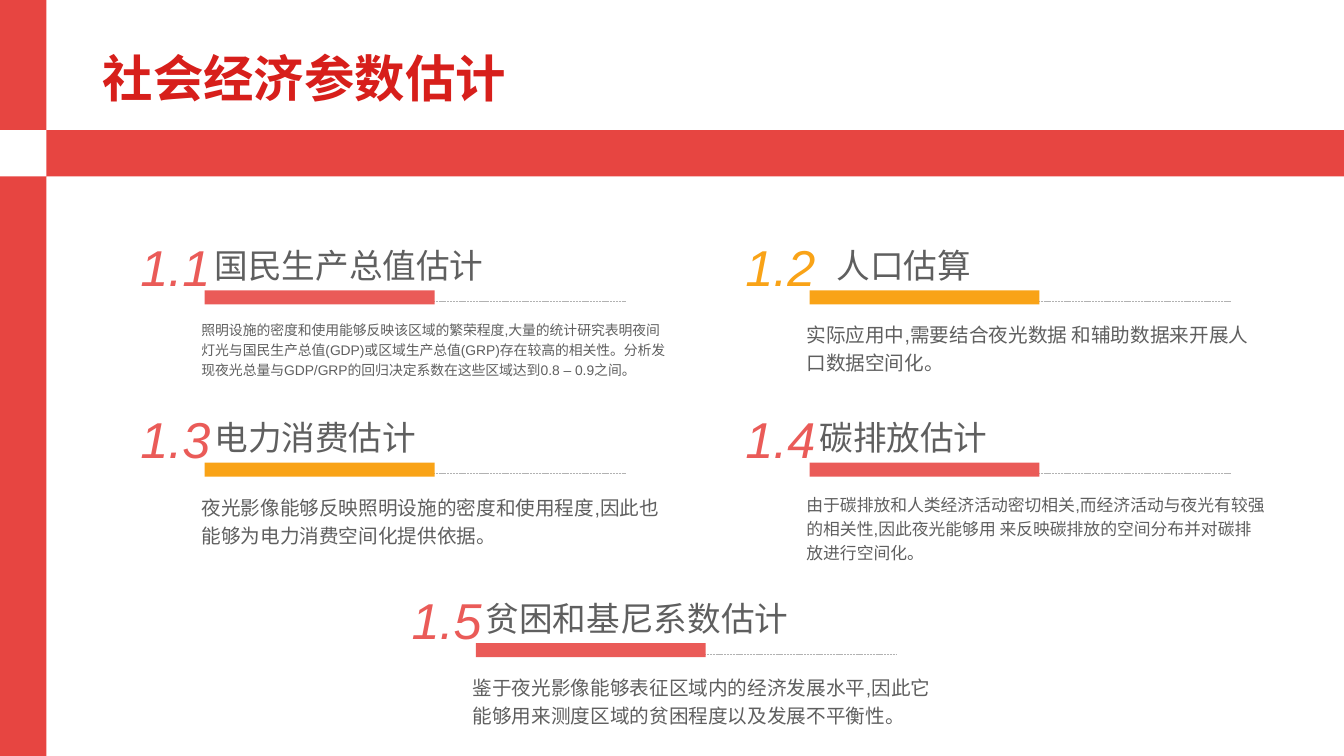
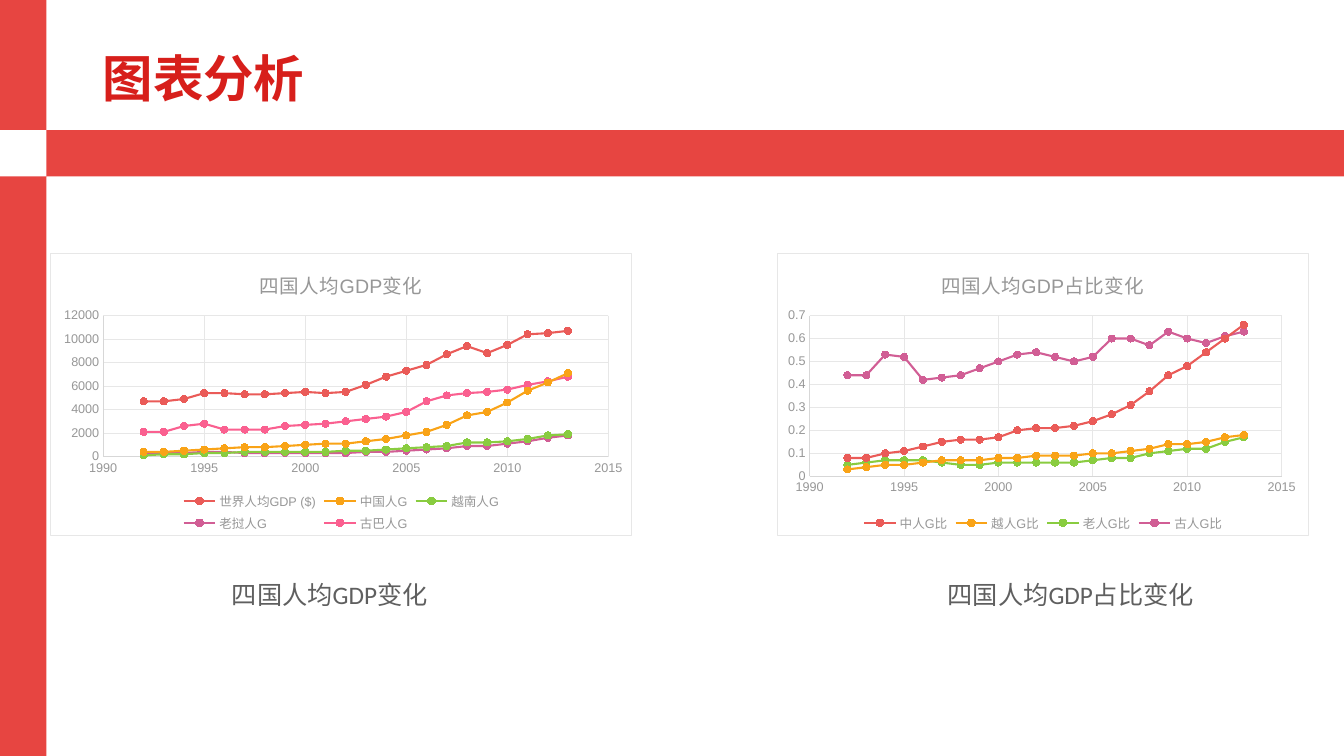
from lxml import etree
from pptx import Presentation
from pptx.chart import data
from pptx.dml.color import RGBColor
from pptx.enum import chart as ch, dml, shapes, text
from pptx.oxml import parse_xml
from pptx.oxml.ns import nsdecls, qn
from pptx.util import Inches, Pt

BAND, TITLE, WHITE = "E74541", "D71F1B", "FFFFFF"
RED, GOLD, GREEN, PLUM, PINK = "EA5B58", "F9A317", "89CC40", "D15E95", "FA6090"
INK, DASH, LABEL, AXIS, GRID = "5F5F5F", "B2B2B2", "979797", "D7D7D7", "E7E7E7"
LATIN, HAN = "Arial", "Noto Sans CJK SC"


def rgb(code):
    return RGBColor.from_string(code)


class Deck:
    def __init__(self):
        self.prs = Presentation()
        self.prs.slide_width = Inches(13.33)
        self.prs.slide_height = Inches(7.5)

    def page(self, title):
        """Start a slide with the shared bands and title."""
        self.slide = self.prs.slides.add_slide(self.prs.slide_layouts[6])
        self.rect(0, 0, 0.46, 7.5, BAND)
        self.rect(0, 1.29, 13.33, 0.46, BAND)
        self.rect(0, 1.29, 0.46, 0.46, WHITE)
        self.text(0.92, 0.35, 11.5, 0.91, title, 36, TITLE,
                  bold=True, mid=True, gap=0.9)

    def rect(self, x, y, w, h, fill):
        box = self.slide.shapes.add_shape(
            shapes.MSO_SHAPE.RECTANGLE, Inches(x), Inches(y), Inches(w), Inches(h))
        box.shadow.inherit = False
        box.fill.solid()
        box.fill.fore_color.rgb = rgb(fill)
        box.line.fill.background()

    def rule(self, x, y, w):
        line = self.slide.shapes.add_connector(
            shapes.MSO_CONNECTOR.STRAIGHT,
            Inches(x), Inches(y), Inches(x + w), Inches(y))
        line.line.color.rgb = rgb(DASH)
        line.line.width = Pt(0.5)
        line.line.dash_style = dml.MSO_LINE.SQUARE_DOT
        etree.SubElement(line._element.spPr, qn("a:effectLst"))

    def text(self, x, y, w, h, words, size, color, font=LATIN, bold=False,
             slant=False, mid=False, center=False, gap=1.0, wrap=True):
        box = self.slide.shapes.add_textbox(
            Inches(x), Inches(y), Inches(w), Inches(h))
        frame = box.text_frame
        frame.word_wrap = wrap
        if mid:
            frame.vertical_anchor = text.MSO_ANCHOR.MIDDLE
        para = frame.paragraphs[0]
        para.line_spacing = gap
        if center:
            para.alignment = text.PP_ALIGN.CENTER
        run = para.add_run()
        run.text = words
        run.font.bold, run.font.italic = bold, slant
        self.style(run.font, size, color, font)

    def style(self, font, size, color, name=LATIN):
        font.size, font.name = Pt(size), name
        font.color.rgb = rgb(color)
        # East Asian glyphs take their own typeface
        han = etree.Element(qn("a:ea"), typeface=HAN)
        font._element.find(qn("a:latin")).addnext(han)

    def topic(self, x, y, num, head, body, size, width=4.77, bar=RED,
              tint=RED, font=HAN, shift=0):
        """Numbered heading over a bar and dashed rule; x, y is the bar's corner."""
        self.rule(x + 1.3, y + 0.11, 2.88)
        self.rect(x, y, 2.28, 0.14, bar)
        self.text(x - 0.13, y + 0.23, width, 0.66, body, size, INK, gap=1.2)
        self.text(x - 0.75, y - 0.91, 0.92, 1.16, num, 36, tint,
                  slant=True, mid=True, center=True, gap=1.3)
        self.text(x + shift, y - 0.5, len(head) / 3 + 0.2, 0.5, head, 24, INK,
                  font=font, wrap=False)

    def chart(self, x, w, title, years, rows, top, step, form, plot):
        """Scatter chart; rows are (name, colour, values), plot is x, y, w, h."""
        table = data.XyChartData(number_format=form)
        for name, _, vals in rows:
            series = table.add_series(name)
            for year, val in zip(years, vals):
                series.add_data_point(year, val)
        chart = self.slide.shapes.add_chart(
            ch.XL_CHART_TYPE.XY_SCATTER_LINES,
            Inches(x), Inches(2.51), Inches(w), Inches(2.81), table).chart
        self.style(chart.font, 10, INK)
        chart.has_title = True
        run = chart.chart_title.text_frame.paragraphs[0].add_run()
        run.text = title
        run.font.bold = False
        self.style(run.font, 14, LABEL)
        chart.has_legend = True
        chart.legend.position = ch.XL_LEGEND_POSITION.BOTTOM
        chart.legend.include_in_layout = False
        self.style(chart.legend.font, 9, LABEL)
        self.axis(chart.category_axis, 1990, 2015, 5, "0")
        self.axis(chart.value_axis, 0, top, step, form)
        chart.plots[0].vary_by_categories = False
        for series, (_, color, _) in zip(chart.plots[0].series, rows):
            self.trace(series, color)
        self.panel(chart, plot)

    def axis(self, axis, low, high, step, form):
        axis.minimum_scale, axis.maximum_scale = low, high
        axis.major_unit = step
        axis.major_tick_mark = axis.minor_tick_mark = ch.XL_TICK_MARK.NONE
        axis.has_major_gridlines = True
        for line, color in ((axis.format.line, AXIS),
                            (axis.major_gridlines.format.line, GRID)):
            line.color.rgb = rgb(color)
            line.width = Pt(0.75)
        labels = axis.tick_labels
        labels.number_format, labels.number_format_is_linked = form, False
        self.style(labels.font, 9, LABEL)

    def trace(self, series, color):
        series.smooth = False
        series.format.line.color.rgb = rgb(color)
        series.format.line.width = Pt(1.5)
        mark = series.marker
        mark.style, mark.size = ch.XL_MARKER_STYLE.CIRCLE, 5
        mark.format.fill.solid()
        mark.format.fill.fore_color.rgb = rgb(color)
        mark.format.line.color.rgb = rgb(color)

    def panel(self, chart, plot):
        """Fill and border the chart, and fix its plot area."""
        root = chart._chartSpace
        root.find(qn("c:chart")).addnext(parse_xml(
            f'<c:spPr {nsdecls("c", "a")}>'
            f'<a:solidFill><a:srgbClr val="{WHITE}"/></a:solidFill>'
            f'<a:ln w="9525"><a:solidFill><a:srgbClr val="{GRID}"/></a:solidFill></a:ln>'
            '</c:spPr>'))
        area = root.find(".//" + qn("c:plotArea"))
        for old in area.findall(qn("c:layout")):
            area.remove(old)
        sizes = "".join(f'<c:{k} val="{v}"/>' for k, v in zip("xywh", plot))
        area.insert(0, parse_xml(
            f'<c:layout {nsdecls("c")}><c:manualLayout>'
            '<c:layoutTarget val="inner"/><c:xMode val="edge"/><c:yMode val="edge"/>'
            f'{sizes}</c:manualLayout></c:layout>'))


def main():
    deck = Deck()
    left, right, upper, lower = 2.03, 8.03, 2.88, 4.59

    deck.page("社会经济参数估计")
    deck.topic(left, upper, "1.1", "国民生产总值估计",
               "照明设施的密度和使用能够反映该区域的繁荣程度,大量的统计研究表明夜间灯光与"
               "国民生产总值(GDP)或区域生产总值(GRP)存在较高的相关性。分析发现夜光总量与"
               "GDP/GRP的回归决定系数在这些区域达到0.8 – 0.9之间。",
               9.9, width=4.84, font=LATIN)
    deck.topic(right, upper, "1.2", "人口估算",
               "实际应用中,需要结合夜光数据 和辅助数据来开展人口数据空间化。",
               14, bar=GOLD, tint=GOLD, shift=0.17)
    deck.topic(left, lower, "1.3", "电力消费估计",
               "夜光影像能够反映照明设施的密度和使用程度,因此也能够为电力消费空间化提供依据。",
               14, bar=GOLD)
    deck.topic(right, lower, "1.4", "碳排放估计",
               "由于碳排放和人类经济活动密切相关,而经济活动与夜光有较强的相关性,"
               "因此夜光能够用 来反映碳排放的空间分布并对碳排放进行空间化。", 12)
    deck.topic(4.72, 6.38, "1.5", "贫困和基尼系数估计",
               "鉴于夜光影像能够表征区域内的经济发展水平,"
               "因此它能够用来测度区域的贫困程度以及发展不平衡性。", 14)

    deck.page("图表分析")
    years = range(1992, 2014)
    gdp = [
        ("世界人均GDP ($)", RED,
         [4700, 4700, 4900, 5400, 5400, 5300, 5300, 5400, 5500, 5400, 5500,
          6100, 6800, 7300, 7800, 8700, 9400, 8800, 9500, 10400, 10500, 10700]),
        ("中国人G", GOLD,
         [400, 400, 500, 600, 700, 800, 800, 900, 1000, 1100, 1100,
          1300, 1500, 1800, 2100, 2700, 3500, 3800, 4600, 5600, 6300, 7100]),
        ("越南人G", GREEN,
         [100, 200, 200, 300, 300, 400, 400, 400, 400, 400, 500,
          500, 600, 700, 800, 900, 1200, 1200, 1300, 1500, 1800, 1900]),
        ("老挝人G", PLUM,
         [300, 300, 300, 400, 400, 300, 300, 300, 300, 300, 300,
          400, 400, 500, 600, 700, 900, 900, 1100, 1300, 1600, 1800]),
        ("古巴人G", PINK,
         [2100, 2100, 2600, 2800, 2300, 2300, 2300, 2600, 2700, 2800, 3000,
          3200, 3400, 3800, 4700, 5200, 5400, 5500, 5700, 6100, 6400, 6800]),
    ]
    share = [
        ("中人G比", RED,
         [0.08, 0.08, 0.1, 0.11, 0.13, 0.15, 0.16, 0.16, 0.17, 0.2, 0.21,
          0.21, 0.22, 0.24, 0.27, 0.31, 0.37, 0.44, 0.48, 0.54, 0.6, 0.66]),
        ("越人G比", GOLD,
         [0.03, 0.04, 0.05, 0.05, 0.06, 0.07, 0.07, 0.07, 0.08, 0.08, 0.09,
          0.09, 0.09, 0.1, 0.1, 0.11, 0.12, 0.14, 0.14, 0.15, 0.17, 0.18]),
        ("老人G比", GREEN,
         [0.05, 0.06, 0.07, 0.07, 0.07, 0.06, 0.05, 0.05, 0.06, 0.06, 0.06,
          0.06, 0.06, 0.07, 0.08, 0.08, 0.1, 0.11, 0.12, 0.12, 0.15, 0.17]),
        ("古人G比", PLUM,
         [0.44, 0.44, 0.53, 0.52, 0.42, 0.43, 0.44, 0.47, 0.5, 0.53, 0.54,
          0.52, 0.5, 0.52, 0.6, 0.6, 0.57, 0.63, 0.6, 0.58, 0.61, 0.63]),
    ]
    views = [
        (0.5, 5.77, 3.27, "四国人均GDP变化", gdp, 12000, 2000, "0",
         (0.09, 0.22, 0.87, 0.5)),
        (7.71, 5.27, 10.62, "四国人均GDP占比变化", share, 0.7, 0.1, "General",
         (0.06, 0.22, 0.89, 0.57)),
    ]
    for x, w, axis, name, rows, top, step, form, plot in views:
        deck.text(axis - 2, 5.64, 4, 0.85, name, 18, INK,
                  font="Calibri", center=True, gap=1.2)
        deck.chart(x, w, name, years, rows, top, step, form, plot)

    deck.prs.save("out.pptx")


if __name__ == "__main__":
    main()
